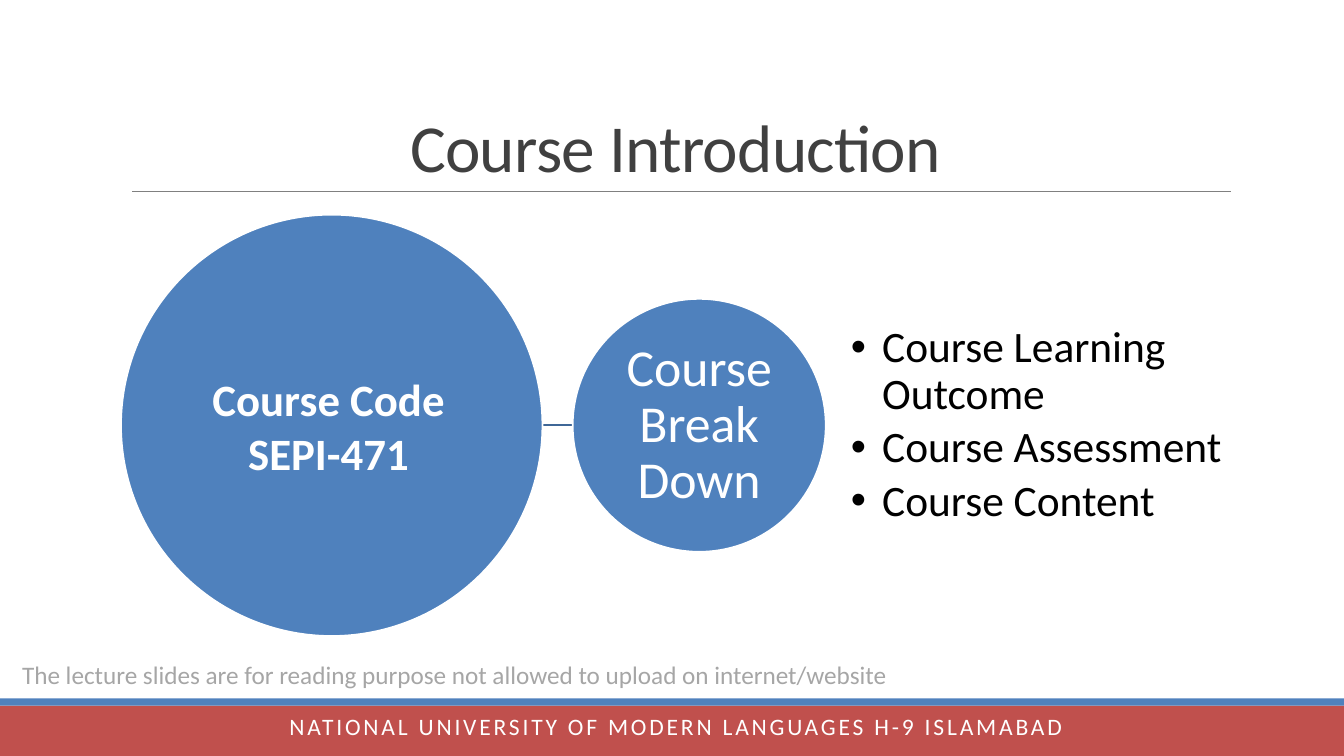
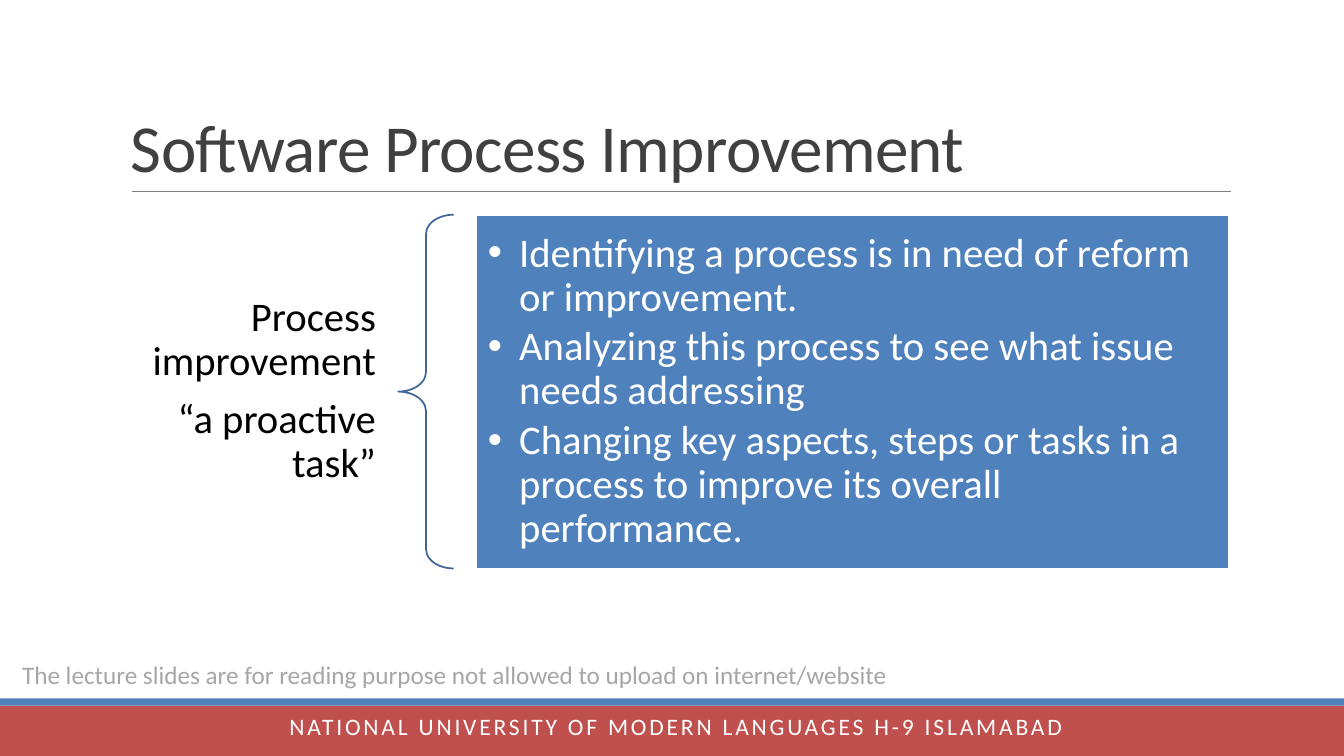
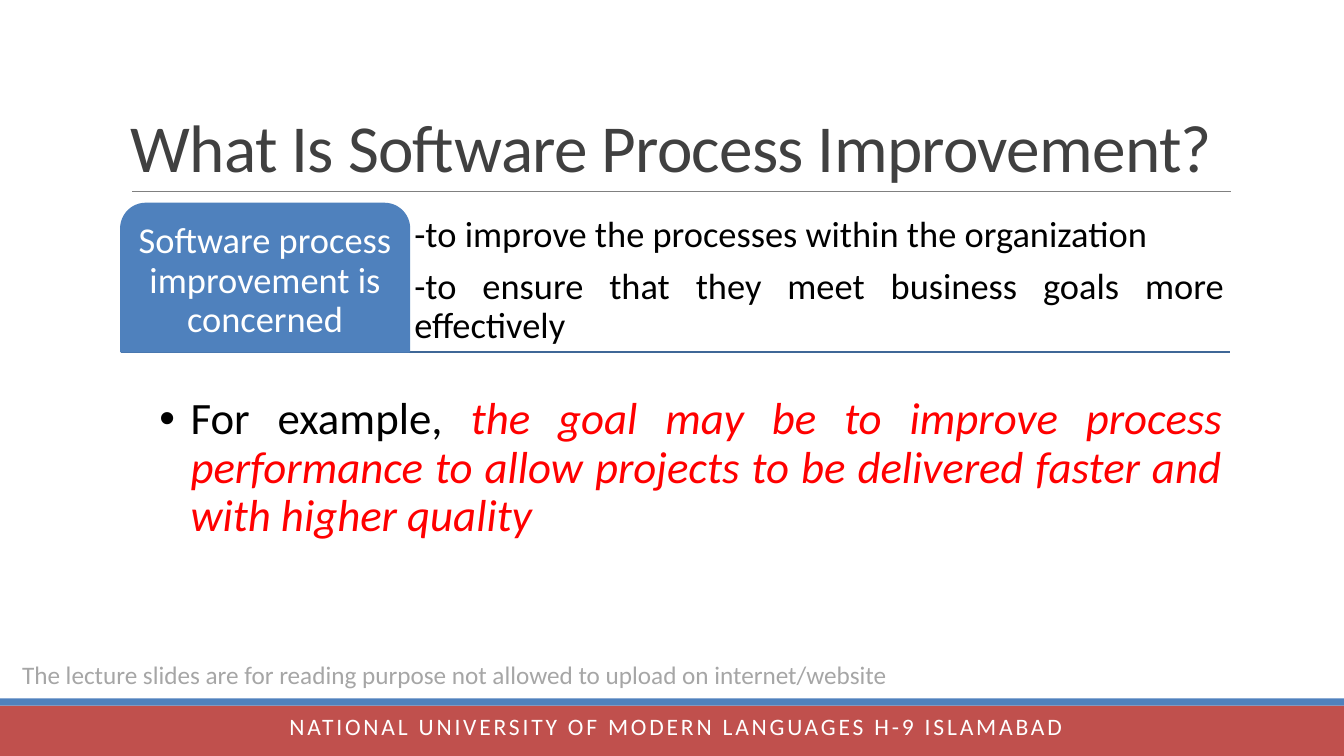
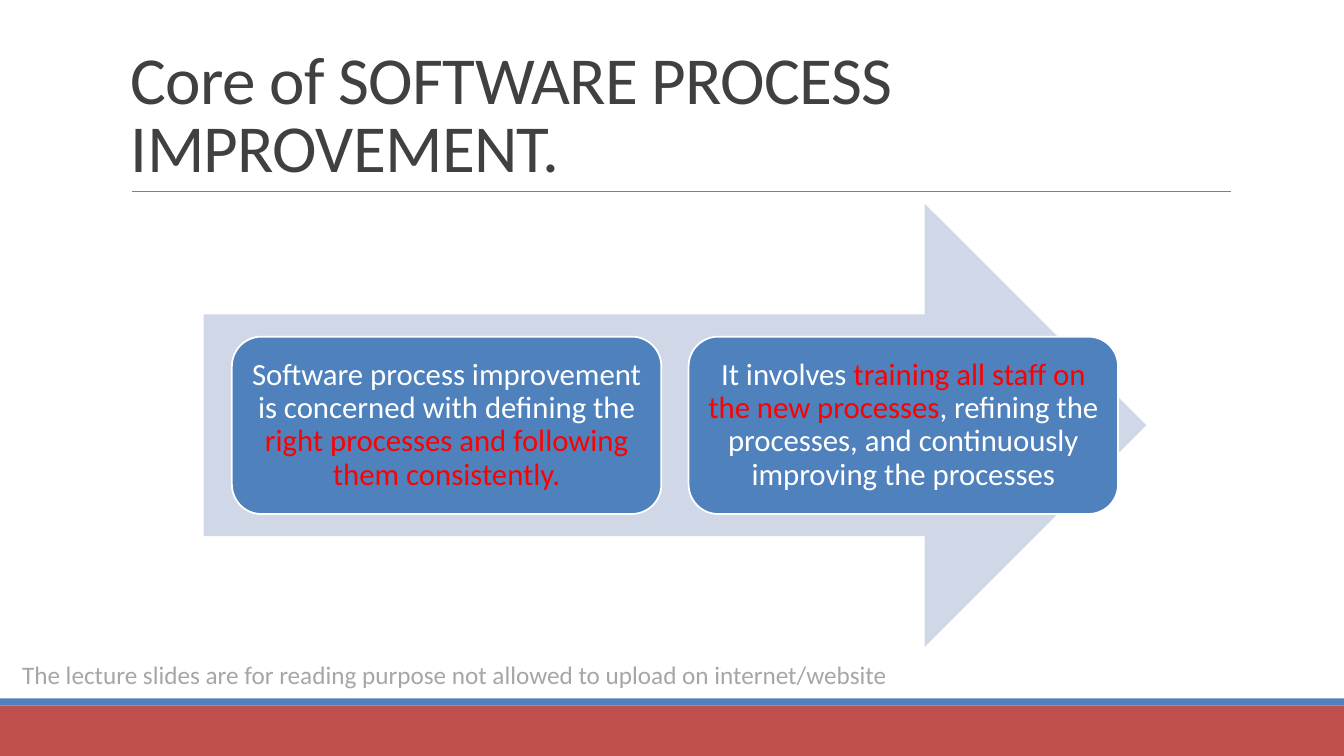
"""Build four lecture slides on software process improvement."""
import lxml.etree
import pptx
import pptx.dml.color
import pptx.enum.shapes
import pptx.enum.text
import pptx.oxml.ns
import pptx.util

Inches = pptx.util.Inches
Pt = pptx.util.Pt
SHAPE = pptx.enum.shapes.MSO_SHAPE
ALIGN = pptx.enum.text.PP_ALIGN
ANCHOR = pptx.enum.text.MSO_ANCHOR
qn = pptx.oxml.ns.qn

COLORS = {
    "blue": "4F81BD",
    "dark_blue": "3F6797",
    "pale_blue": "D0D8E8",
    "brick": "C0504D",
    "red": "FF0000",
    "white": "FFFFFF",
    "black": "000000",
    "title": "404040",
    "rule": "808080",
    "note": "A6A6A6",
}
FONT = "Calibri"
WIDTH, HEIGHT = 13.33, 7.5
LEFT, RIGHT = 1.2, 12.2
OUTLINE = 1.25
NOTE = "The lecture slides are for reading purpose not allowed to upload on internet/website"
UNIVERSITY = "NATIONAL UNIVERSITY OF MODERN LANGUAGES H-9 ISLAMABAD"


def rgb(name):
    """Return the palette colour of that name."""
    return pptx.dml.color.RGBColor.from_string(COLORS[name])


def write(frame, paragraphs, size, color="black", align=ALIGN.LEFT, anchor=ANCHOR.MIDDLE,
          insets=(0.1, 0.05, 0.1, 0.05), leading=0.9, after=0.35, bold=False,
          tracking=None, bullet_indent=None, wrap=True):
    """Fill a frame with paragraphs, each a string or a list of (text, colour, italic) runs."""
    frame.word_wrap = wrap
    frame.vertical_anchor = anchor
    (frame.margin_left, frame.margin_top,
     frame.margin_right, frame.margin_bottom) = map(Inches, insets)
    for index, content in enumerate(paragraphs):
        paragraph = frame.add_paragraph() if index else frame.paragraphs[0]
        if bullet_indent:
            properties = paragraph._p.get_or_add_pPr()
            properties.set("marL", str(Inches(bullet_indent)))
            properties.set("indent", str(-Inches(0.31)))
            lxml.etree.SubElement(properties, qn("a:buFont")).set("typeface", "Arial")
            lxml.etree.SubElement(properties, qn("a:buChar")).set("char", "•")
        paragraph.alignment = align
        paragraph.line_spacing = leading
        paragraph.space_after = Pt(round(after * size, 1))
        runs = [(content, color, False)] if isinstance(content, str) else content
        for text, run_color, italic in runs:
            run = paragraph.add_run()
            run.text = text
            run.font.name = FONT
            run.font.size = Pt(size)
            run.font.bold = bold
            run.font.italic = italic
            run.font.color.rgb = rgb(run_color)
            if tracking:
                run._r.get_or_add_rPr().set("spc", str(int(tracking * 100)))


def add_text(slide, box, paragraphs, **style):
    """Add a text box."""
    holder = slide.shapes.add_textbox(*map(Inches, box))
    write(holder.text_frame, paragraphs, **style)


def add_block(slide, kind, box, fill=None, line=None, adjustments=()):
    """Add a preset shape and return it."""
    block = slide.shapes.add_shape(kind, *map(Inches, box))
    block.shadow.inherit = False
    for index, value in enumerate(adjustments):
        block.adjustments[index] = value
    if fill:
        block.fill.solid()
        block.fill.fore_color.rgb = rgb(fill)
    else:
        block.fill.background()
    if line:
        block.line.color.rgb = rgb(line)
        block.line.width = Pt(OUTLINE)
    else:
        block.line.fill.background()
    return block


def add_rule(slide, start, end, y, color="dark_blue", width=OUTLINE):
    """Add a horizontal line."""
    rule = slide.shapes.add_connector(
        pptx.enum.shapes.MSO_CONNECTOR.STRAIGHT,
        Inches(start), Inches(y), Inches(end), Inches(y))
    rule.line.color.rgb = rgb(color)
    rule.line.width = Pt(width)
    lxml.etree.SubElement(rule._element.spPr, qn("a:effectLst"))


def add_slide(deck, title, align=ALIGN.LEFT, footer=True):
    """Add a slide with the bands, title, note and footer."""
    slide = deck.slides.add_slide(deck.slide_layouts[6])
    add_block(slide, SHAPE.RECTANGLE, (0, 7, WIDTH, 0.5), "brick")
    add_block(slide, SHAPE.RECTANGLE, (0, 6.93, WIDTH, 0.07), "blue")
    add_rule(slide, 1.31, 12.21, 1.9, "rule", 0.5)
    add_text(slide, (0.12, 6.49, 8.89, 0.4), [NOTE], size=18, color="note",
             anchor=ANCHOR.TOP, leading=1.0, after=0, wrap=False)
    add_text(slide, (LEFT, 0.31, RIGHT - LEFT, 1.59), [title], size=48, color="title",
             align=align, anchor=ANCHOR.BOTTOM, leading=0.85, after=0, tracking=-0.5)
    if footer:
        add_text(slide, (2.53, 7.09, 8.35, 0.4), [UNIVERSITY], size=16.8, color="white",
                 align=ALIGN.CENTER, anchor=ANCHOR.TOP, leading=0.7, after=0.12, tracking=2)
    return slide


def build_introduction(deck):
    """Course code and break down circles with the course parts."""
    slide = add_slide(deck, "Course Introduction", ALIGN.CENTER)
    middle, code_size, parts_size, gap = 4.22, 4.18, 2.51, 0.3
    parts_left = LEFT + code_size + gap
    add_rule(slide, LEFT + code_size, parts_left, middle)
    code = add_block(slide, SHAPE.OVAL, (LEFT, middle - code_size / 2, code_size, code_size),
                     "blue", "white")
    write(code.text_frame, ["Course Code SEPI-471"], size=32, color="white", bold=True,
          align=ALIGN.CENTER, insets=(0.1, 0.05, 0.16, 0.05), leading=1.0, after=0)
    parts_top = middle - parts_size / 2
    breakdown = add_block(slide, SHAPE.OVAL, (parts_left, parts_top, parts_size, parts_size),
                          "blue", "white")
    write(breakdown.text_frame, ["Course Break Down"], size=37, color="white",
          align=ALIGN.CENTER, insets=(0.03,) * 4)
    add_text(slide, (8.44, parts_top, 3.76, parts_size),
             ["Course Learning Outcome", "Course Assessment", "Course Content"],
             size=31, insets=(0,) * 4, after=0.15, bullet_indent=0.31)


def build_improvement(deck):
    """Process improvement and its three steps."""
    slide = add_slide(deck, "Software Process Improvement")
    top, height = 2.13, 3.51
    add_text(slide, (1.21, 2.82, 2.75, 2.12), ["Process improvement", "“a proactive task”"],
             size=29, align=ALIGN.RIGHT, insets=(0.23, 0.08, 0.23, 0.08))
    add_block(slide, SHAPE.LEFT_BRACE, (3.95, top, 0.55, height), line="dark_blue",
              adjustments=(0.35, 0.5))
    steps = add_block(slide, SHAPE.RECTANGLE, (4.72, top, 7.47, height), "blue", "white")
    write(steps.text_frame,
          ["Identifying a process is in need of reform or improvement.",
           "Analyzing this process to see what issue needs addressing",
           "Changing key aspects, steps or tasks in a process to improve its overall performance."],
          size=29, color="white", insets=(0.12,) * 4, after=0.15, bullet_indent=0.31)


def build_definition(deck):
    """What the improvement is concerned with, and an example."""
    slide = add_slide(deck, "What Is Software Process Improvement?")
    top, height, tab_width = 2.02, 1.47, 2.86
    add_rule(slide, LEFT, RIGHT, top + height)
    add_text(slide, (LEFT + tab_width, top, RIGHT - LEFT - tab_width, height),
             ["-to improve the processes within the organization",
              "-to ensure that they meet business goals more effectively"],
             size=26, align=ALIGN.JUSTIFY, anchor=ANCHOR.BOTTOM, insets=(0.05,) * 4)
    concern = add_block(slide, SHAPE.ROUND_2_SAME_RECTANGLE, (LEFT, top, tab_width, height),
                        "blue", "blue", (0.167, 0))
    write(concern.text_frame, ["Software process improvement is concerned"], size=26,
          color="white", align=ALIGN.CENTER, insets=(0.05,) * 4)
    add_text(slide, (LEFT, 3.86, RIGHT - LEFT, 2.56),
             [[("For example, ", "black", False),
               ("the goal may be to improve process performance to allow projects "
                "to be delivered faster and with higher quality", "red", True)]],
             size=32, align=ALIGN.JUSTIFY, anchor=ANCHOR.TOP, insets=(0.07,) * 4,
             after=0.15, bullet_indent=0.62)


def build_core(deck):
    """Two core statements along an arrow."""
    slide = add_slide(deck, "Core of SOFTWARE PROCESS IMPROVEMENT.", footer=False)
    add_block(slide, SHAPE.RIGHT_ARROW, (2.02, 2.02, 9.35, 4.4), "pale_blue")
    statements = [
        [("Software process improvement is concerned with defining the ", "white", False),
         ("right processes and following them consistently.", "red", False)],
        [("It involves", "white", False),
         (" training all staff on the new processes", "red", False),
         (", refining the processes, and continuously improving the processes",
          "white", False)],
    ]
    width, gap = 4.26, 0.27
    for index, statement in enumerate(statements):
        card = add_block(slide, SHAPE.ROUNDED_RECTANGLE,
                         (2.3 + index * (width + gap), 3.34, width, 1.76), "blue", "white")
        write(card.text_frame, [statement], size=22, align=ALIGN.CENTER, insets=(0.09,) * 4)


def main():
    """Build and save the deck."""
    deck = pptx.Presentation()
    deck.slide_width, deck.slide_height = Inches(WIDTH), Inches(HEIGHT)
    for build in (build_introduction, build_improvement, build_definition, build_core):
        build(deck)
    deck.save("out.pptx")


if __name__ == "__main__":
    main()
